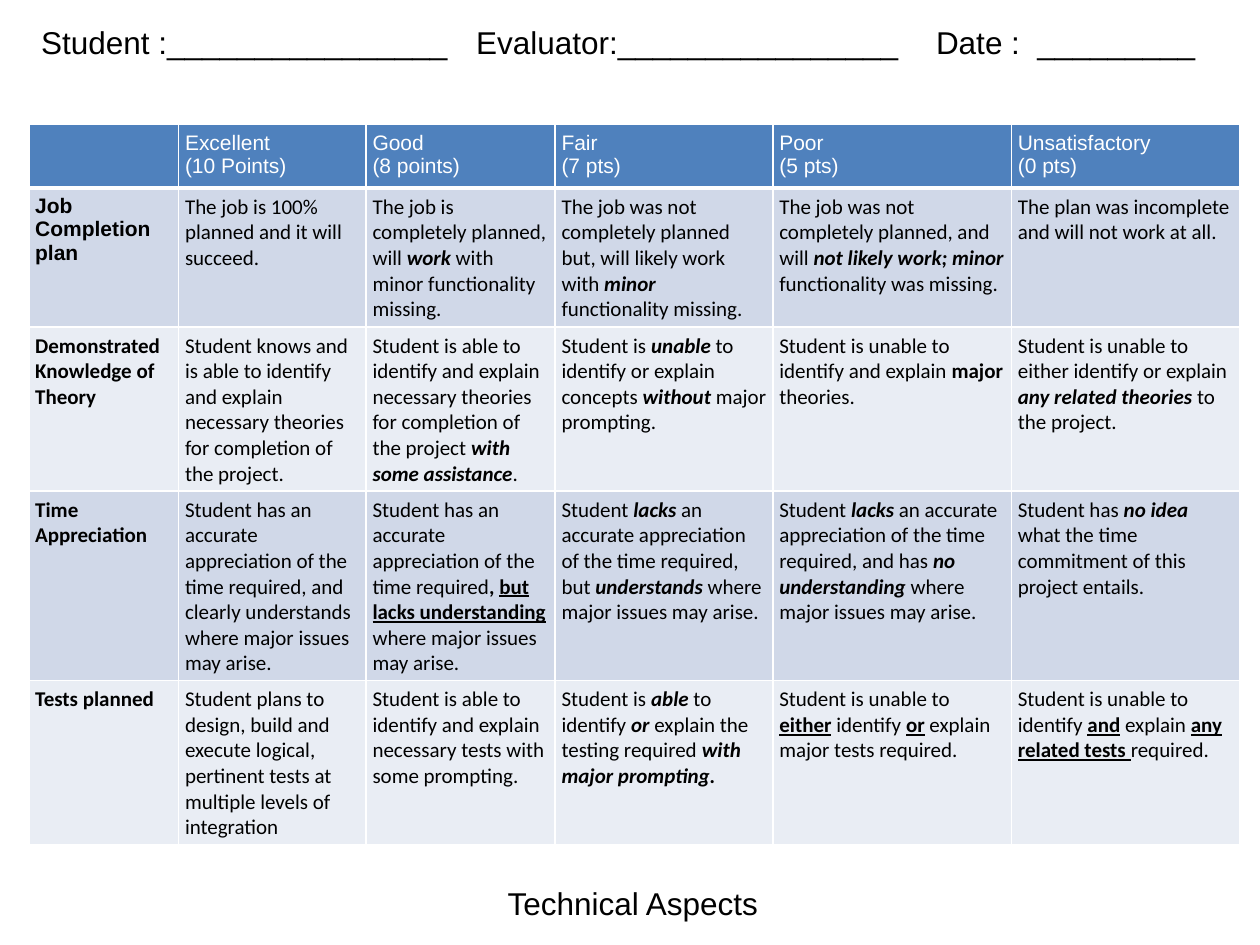
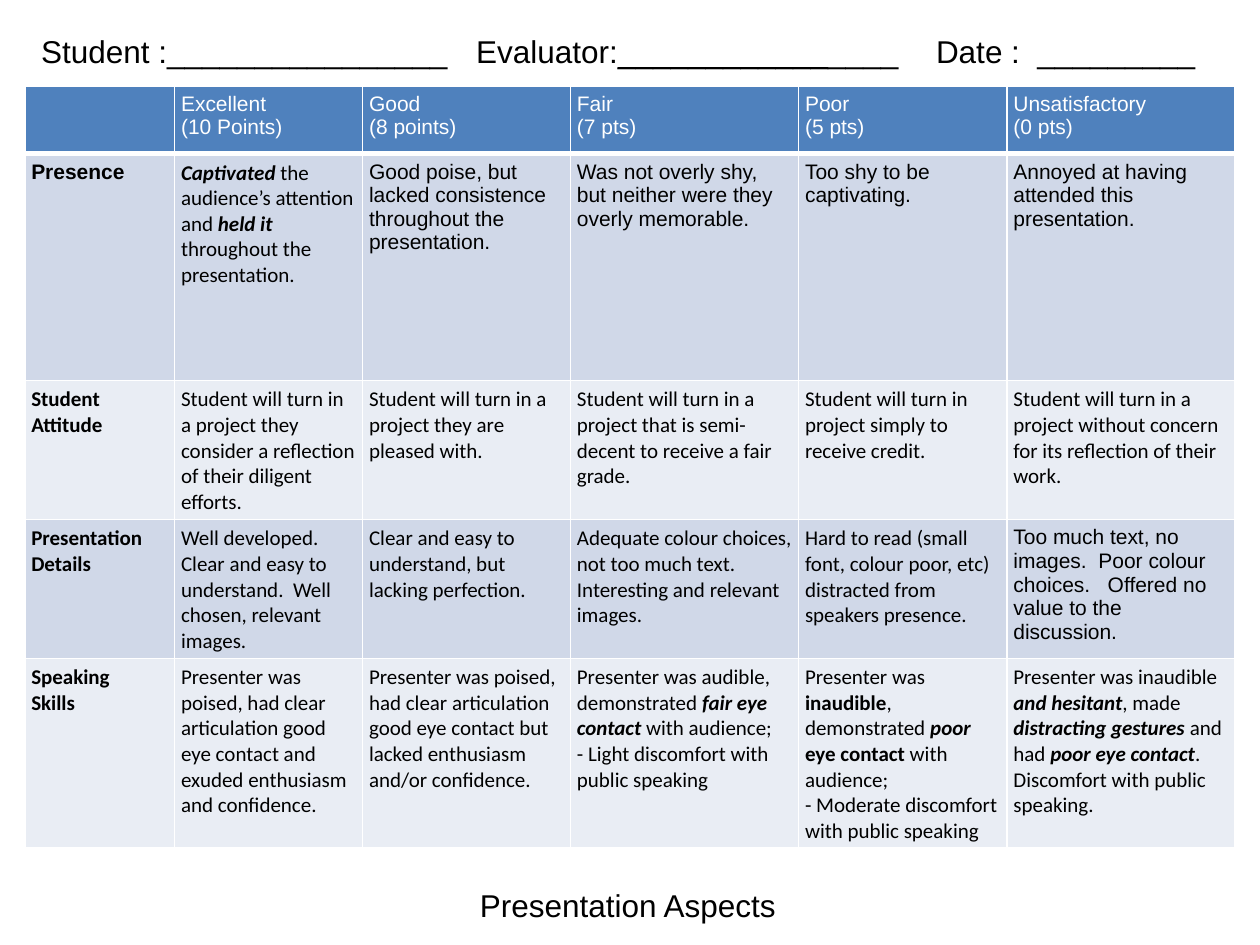
from lxml.etree import SubElement
from pptx import Presentation
from pptx.dml.color import RGBColor
from pptx.enum.text import MSO_ANCHOR as Anchor, MSO_AUTO_SIZE as AutoSize, PP_ALIGN as Align
from pptx.oxml.ns import qn
from pptx.util import Cm, Pt

COLORS = {
    "heading": "4F81BD",
    "odd_row": "D0D8E8",
    "even_row": "E9EDF4",
    "border": "FFFFFF",
    "heading_text": "FFFFFF",
    "text": "000000",
}
HEADING_FONT, BODY_FONT = "Arial", "Calibri"
ARIAL_MARK = "@"
RUN_MARKS = {
    "*": {"bold": True, "italic": True},
    "#": {"bold": True},
    "~": {"bold": True, "underline": True},
    "+": {"underline": True},
}
GRADES = ["", "Excellent\n(10 Points)", "Good\n(8 points)", "Fair\v(7 pts)",
          "Poor\v(5 pts)", "Unsatisfactory\v(0 pts)"]

TECHNICAL = {
    "caption": "Technical Aspects",
    "caption_box": (9.98, 17.7, 5.61, 1.02),
    "form_top": 0.33,
    "evaluator": "Evaluator:________________",
    "table_at": (0.58, 2.51),
    "columns": [3.02, 3.78, 3.81, 4.39, 4.81, 4.6],
    "rows": [1.22, 2.67, 3.15, 3.15, 3.15],
    "criteria": [
        ["@Job Completion\nplan",
         "The job is 100% planned and it will succeed.",
         "The job is completely planned, will |*work |with minor functionality\nmissing.",
         "The job was not completely planned but, will likely work with |*minor"
         "| functionality missing.",
         "The job was not completely planned, and will |*not likely work; minor"
         "| functionality was missing.",
         "The plan was incomplete and will not work at all."],
        ["Demonstrated Knowledge of Theory",
         "Student knows and is able to identify and explain necessary theories "
         "for completion of the project.",
         "Student is able to identify and explain necessary theories "
         "for completion of the project |*with some assistance|.",
         "Student is |*unable| to identify or explain concepts |*without| major prompting.",
         "Student is unable to identify and explain |#major| theories.",
         "Student is unable to either identify or explain |*any related theories |to the project."],
        ["Time Appreciation",
         "Student has an accurate appreciation of the time required, and clearly "
         "understands where major issues may arise.",
         "Student has an accurate appreciation of the time required|#, "
         "|~but lacks understanding |where major issues may arise.",
         "Student |*lacks| an accurate appreciation of the time required, but "
         "|*understands| where major issues may arise.",
         "Student |*lacks| an accurate appreciation of the time required, and has "
         "|*no understanding| where major issues may arise.",
         "Student has |*no idea |what the time commitment of this project entails."],
        ["Tests planned",
         "Student plans to\ndesign, build and execute logical, pertinent tests "
         "at multiple levels of integration",
         "Student is able to identify and explain necessary tests with some prompting.",
         "Student is |*able| to identify |*or| explain the testing required "
         "|*with major prompting.",
         "Student is unable to |~either| identify |~or| explain major tests required.",
         "Student is unable to identify |~and| explain |~any related tests |required."],
    ],
}

PRESENTATION = {
    "caption": "Presentation Aspects",
    "caption_box": (9.42, 17.73, 6.53, 1.02),
    "form_top": 0.53,
    "evaluator": "Evaluator:|+____________|____",
    "table_at": (0.5, 1.73),
    "columns": [3.02, 3.79, 4.19, 4.6, 4.2, 4.6],
    "rows": [1.37, 4.57, 1.78, 1.78, 3.35],
    "criteria": [
        ["@Presence",
         "*Captivated| the audience’s attention and |*held it |throughout the presentation.",
         "@Good poise, but lacked consistence throughout the presentation.",
         "@Was not overly shy, but neither were they overly memorable.",
         "@Too shy to be captivating.",
         "@Annoyed at having attended this presentation."],
        ["Student Attitude",
         "Student will turn in a project they consider a reflection of their diligent efforts.",
         "Student will turn in a project they are pleased with.",
         "Student will turn in a project that is semi-decent to receive a fair grade.",
         "Student will turn in project simply to receive credit.",
         "Student will turn in a project without concern for its reflection of their work."],
        ["Presentation\nDetails",
         "Well developed.  Clear and easy to understand.  Well chosen, relevant images.",
         "Clear and easy to understand, but lacking perfection.",
         "Adequate colour choices, not too much text.  Interesting and relevant images.",
         "Hard to read (small font, colour poor, etc) distracted from speakers presence.",
         "@Too much text, no images.  Poor colour choices.   Offered no value to the discussion."],
        ["Speaking\nSkills",
         "Presenter was poised, had clear articulation good eye contact and exuded "
         "enthusiasm and confidence.",
         "Presenter was poised, had clear articulation good eye contact but lacked "
         "enthusiasm and/or confidence.",
         "Presenter was audible, demonstrated |*fair eye contact |with audience;\n"
         "- Light discomfort with public speaking",
         "Presenter was |#inaudible|, demonstrated |*poor |#eye contact| with audience;\n"
         "- Moderate discomfort with public speaking",
         "Presenter was inaudible |*and hesitant|, made |*distracting gestures "
         "|and had |*poor eye contact|.\nDiscomfort with public speaking."],
    ],
}


def format_run(run, font, size, color, bold=False, italic=False, underline=False):
    run.font.name = font
    run.font.size = Pt(size)
    run.font.color.rgb = RGBColor.from_string(COLORS[color])
    run.font.bold = bold
    run.font.italic = italic
    run.font.underline = underline


def write(frame, marked, font, size, color="text", bold=False):
    for number, line in enumerate(marked.split("\n")):
        paragraph = frame.add_paragraph() if number else frame.paragraphs[0]
        paragraph.alignment = Align.LEFT
        for piece in line.split("|"):
            style = {"bold": bold}
            if piece[:1] in RUN_MARKS:
                style, piece = RUN_MARKS[piece[0]], piece[1:]
            if "\v" in piece:
                paragraph.text = piece
                runs = paragraph.runs
            else:
                runs = [paragraph.add_run()]
                runs[0].text = piece
            for run in runs:
                format_run(run, font, size, color, **style)


def fit_line(frame):
    frame.word_wrap = False
    frame.auto_size = AutoSize.SHAPE_TO_FIT_TEXT
    frame.vertical_anchor = Anchor.TOP


def set_borders(cell, row):
    widths = {"lnL": 1, "lnR": 1, "lnT": 3 if row == 1 else 1, "lnB": 3 if row == 0 else 1}
    properties = cell._tc.get_or_add_tcPr()
    for side, width in widths.items():
        line = SubElement(properties, qn(f"a:{side}"), w=str(Pt(width)))
        fill = SubElement(line, qn("a:solidFill"))
        SubElement(fill, qn("a:srgbClr"), val=COLORS["border"])


def format_cell(cell, row):
    cell.margin_left = cell.margin_right = Cm(0.13)
    cell.margin_top = cell.margin_bottom = Cm(0.13)
    set_borders(cell, row)
    fill = "heading" if row == 0 else "odd_row" if row % 2 else "even_row"
    cell.fill.solid()
    cell.fill.fore_color.rgb = RGBColor.from_string(COLORS[fill])


def add_rubric(slide, left, top, columns, rows, criteria):
    rubric = slide.shapes.add_table(len(rows), len(columns), Cm(left), Cm(top),
                                    Cm(sum(columns)), Cm(sum(rows))).table
    for column, width in zip(rubric.columns, columns):
        column.width = Cm(width)
    for row, height in zip(rubric.rows, rows):
        row.height = Cm(height)
    for r, texts in enumerate([GRADES] + criteria):
        for c, text in enumerate(texts):
            cell = rubric.cell(r, c)
            format_cell(cell, r)
            if not text:
                continue
            font = HEADING_FONT if r == 0 or text.startswith(ARIAL_MARK) else BODY_FONT
            write(cell.text_frame, text.removeprefix(ARIAL_MARK), font, 12,
                  "text" if r else "heading_text", bold=r > 0 and c == 0)


def add_form_line(slide, top, evaluator):
    fields = [(0.58, 8.79, "Student :________________"),
              (9.35, 9.27, evaluator),
              (18.62, 5.79, "Date :  _________")]
    for left, width, label in fields:
        field = slide.shapes.add_textbox(Cm(left), Cm(top), Cm(width), Cm(1.02))
        fit_line(field.text_frame)
        write(field.text_frame, label, HEADING_FONT, 18)


def set_caption(slide, text, box):
    caption = slide.shapes.title
    caption.left, caption.top, caption.width, caption.height = map(Cm, box)
    fit_line(caption.text_frame)
    write(caption.text_frame, text, HEADING_FONT, 18)


def add_rubric_slide(deck, content):
    slide = deck.slides.add_slide(deck.slide_layouts[5])
    add_rubric(slide, *content["table_at"], content["columns"], content["rows"],
               content["criteria"])
    add_form_line(slide, content["form_top"], content["evaluator"])
    set_caption(slide, content["caption"], content["caption_box"])


def main():
    deck = Presentation()
    deck.slide_width, deck.slide_height = Cm(25.4), Cm(19.05)
    for content in (TECHNICAL, PRESENTATION):
        add_rubric_slide(deck, content)
    deck.save("out.pptx")


if __name__ == "__main__":
    main()
